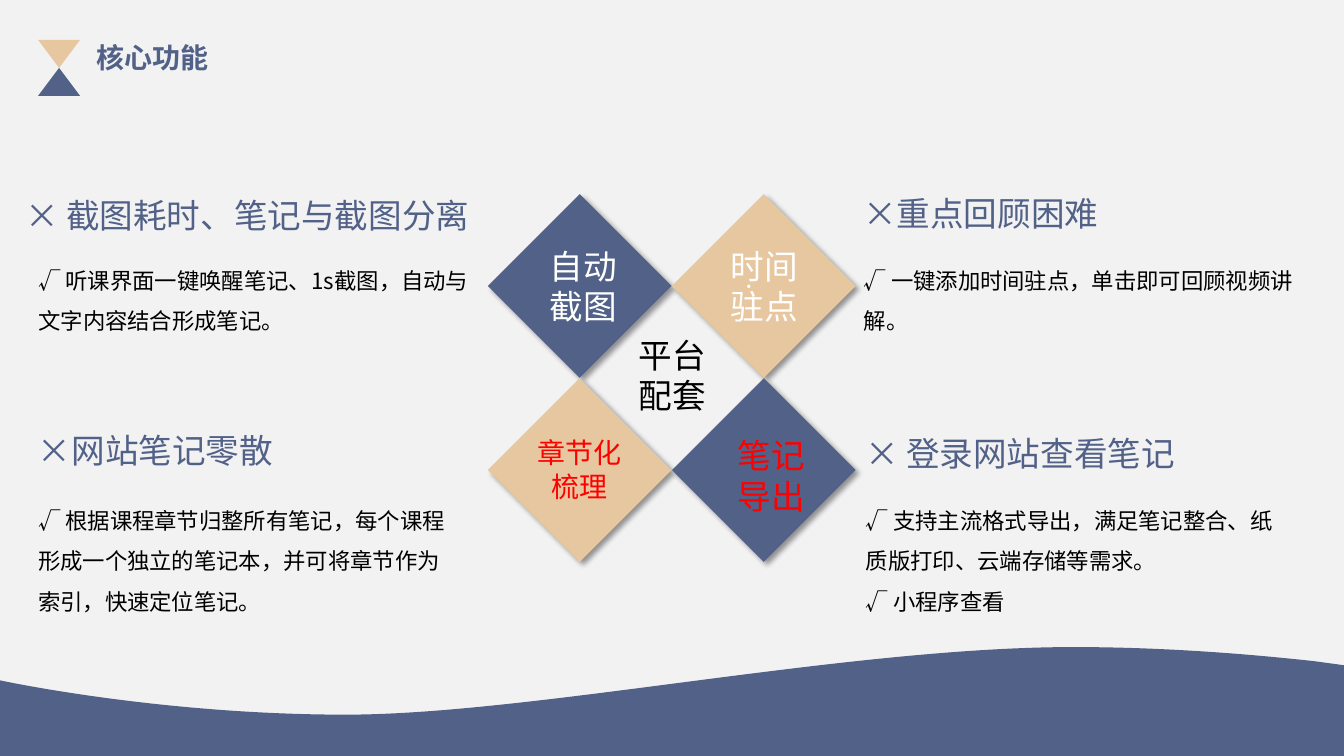
from lxml.etree import SubElement
from pptx import Presentation
from pptx.dml.color import RGBColor
from pptx.enum.shapes import MSO_SHAPE as SHAPE
from pptx.enum.text import MSO_ANCHOR as ANCHOR, MSO_AUTO_SIZE as AUTO_SIZE, PP_ALIGN as ALIGN
from pptx.oxml.ns import qn
from pptx.util import Pt

FONT = "Noto Sans CJK SC"
BLUE, SAND, RED = "526188", "E7C7A0", "FF0000"
WHITE, BLACK, PAPER = "FFFFFF", "000000", "F2F2F2"


def rgb(code):
    return RGBColor.from_string(code)


def write(shape, lines, size, color, align=ALIGN.LEFT, bold=False, spacing=1.0):
    """Fill a shape with paragraphs that share one format."""
    frame = shape.text_frame
    frame.text = "\n".join(lines)
    frame.word_wrap = True
    frame.vertical_anchor = ANCHOR.TOP
    for paragraph in frame.paragraphs:
        paragraph.alignment = align
        paragraph.line_spacing = spacing
        paragraph.space_before = Pt(0)
        for run in paragraph.runs:
            run.font.size = Pt(size)
            run.font.bold = bold
            run.font.color.rgb = rgb(color)
            run.font.name = FONT
            SubElement(run.font._element, qn("a:ea"), typeface=FONT)


def place(shape, left, top, width, height):
    shape.left, shape.top = Pt(left), Pt(top)
    shape.width, shape.height = Pt(width), Pt(height)


def add_title(slide, text):
    title = slide.shapes.title
    place(title, 62, 25, 106, 32)
    write(title, [text], 20, BLUE, bold=True)
    title.text_frame.auto_size = AUTO_SIZE.NONE


def add_label(slide, box, lines, size, color, align=ALIGN.CENTER):
    label = slide.shapes.add_textbox(*map(Pt, box))
    write(label, lines, size, color, align)
    label.text_frame.auto_size = AUTO_SIZE.SHAPE_TO_FIT_TEXT


def fill_answers(body, box, answers):
    """Put the ticked answers into a body placeholder without bullets."""
    place(body, *box)
    write(body, answers, 16, BLACK, spacing=1.5)
    body.text_frame.auto_size = AUTO_SIZE.NONE
    for paragraph in body.text_frame.paragraphs:
        properties = paragraph._p.get_or_add_pPr()
        properties.set("marL", "0")
        properties.set("indent", "0")
        SubElement(properties, qn("a:buNone"))


def paint(shape, color):
    shape.shadow.inherit = False
    shape.fill.solid()
    shape.fill.fore_color.rgb = rgb(color)
    shape.line.fill.background()


def add_figure(slide, kind, box, color):
    figure = slide.shapes.add_shape(kind, *map(Pt, box))
    paint(figure, color)
    return figure


def add_diamond(slide, box, color):
    diamond = add_figure(slide, SHAPE.DIAMOND, box, color)
    effects = diamond._element.spPr.find(qn("a:effectLst"))
    shadow = SubElement(effects, qn("a:outerShdw"), blurRad=str(Pt(4)), dist=str(Pt(3)),
                        dir="2700000", algn="tl", rotWithShape="0")
    tint = SubElement(shadow, qn("a:srgbClr"), val=BLACK)
    SubElement(tint, qn("a:alpha"), val="40000")


def add_wave(slide):
    """Draw the wave in tenths of a point, then bend three of its sides."""
    outline = [
        (7668, 4622),
        (6048, 4622), (3802, 5105), (2470, 5105),
        (1130, 5105), (0, 4860), (0, 4860),
        (0, 5420), (9600, 5420), (9600, 4752), (9389, 4723),
        (8870, 4666), (8273, 4622), (7668, 4622),
    ]
    builder = slide.shapes.build_freeform(*outline[0], scale=Pt(0.1))
    builder.add_line_segments(outline[1:], close=True)
    wave = builder.convert_to_shape()
    paint(wave, BLUE)
    sides = list(wave._element.iter(qn("a:lnTo")))
    for first in (0, 3, 10):
        bend = SubElement(sides[first].getparent(), qn("a:cubicBezTo"))
        sides[first].addprevious(bend)
        for side in sides[first:first + 3]:
            bend.append(side[0])
            side.getparent().remove(side)


def main():
    deck = Presentation()
    deck.slide_width, deck.slide_height = Pt(960), Pt(540)
    slide = deck.slides.add_slide(deck.slide_layouts.get_by_name("Comparison"))
    slide.background.fill.solid()
    slide.background.fill.fore_color.rgb = rgb(PAPER)

    # Wave along the bottom
    add_wave(slide)

    # Title with hourglass mark
    add_title(slide, "核心功能")
    add_figure(slide, SHAPE.ISOSCELES_TRIANGLE, (27.2, 48.5, 30, 20), BLUE)
    add_figure(slide, SHAPE.ISOSCELES_TRIANGLE, (27.2, 28.5, 30, 20), SAND).rotation = 180

    # Four problems, each with its answers
    topics = [
        ("× 截图耗时、笔记与截图分离", (0, 135.4, 342.3, 36), ALIGN.RIGHT,
         ["√ 听课界面一键唤醒笔记、1s截图，自动与文字内容结合形成笔记。"], (20.2, 177.7, 335, 65)),
        ("×重点回顾困难", (609.4, 134, 198, 36), ALIGN.LEFT,
         ["√ 一键添加时间驻点，单击即可回顾视频讲解。"], (609.8, 177.7, 325.5, 65)),
        ("×网站笔记零散", (20, 303.8, 196, 36), ALIGN.LEFT,
         ["√ 根据课程章节归整所有笔记，每个课程形成一个独立的笔记本，并可将章节作为索引，快速定位笔记。"],
         (20, 349.1, 317, 95)),
        ("× 登录网站查看笔记", (610.8, 306, 245, 36), ALIGN.LEFT,
         ["√ 支持主流格式导出，满足笔记整合、纸质版打印、云端存储等需求。", "√ 小程序查看"],
         (611.3, 349.1, 317, 95)),
    ]
    bodies = [holder for holder in slide.placeholders if holder.placeholder_format.idx in (1, 2, 3, 4)]
    for body, (problem, problem_box, align, answers, answers_box) in zip(bodies, topics):
        add_label(slide, problem_box, [problem], 24, BLUE, align)
        fill_answers(body, answers_box, answers)

    # Two by two diamonds
    side, step = 131.2, 131.5
    for index, color in enumerate((BLUE, SAND, SAND, BLUE)):
        row, column = divmod(index, 2)
        add_diamond(slide, (348.5 + column * step, 138.7 + row * step, side, side), color)
    dot = add_figure(slide, SHAPE.OVAL, (534.2, 203.8, 1.4, 1.4), WHITE)
    dot.line.color.rgb = rgb(WHITE)
    dot.line.width = Pt(1)

    # Feature names
    add_label(slide, (375.1, 172, 83, 65.5), ["自动截图"], 24, WHITE)
    add_label(slide, (493.9, 172, 103.7, 65.5), ["时间", "驻点"], 24, WHITE)
    add_label(slide, (375.1, 307.6, 78, 55.5), ["章节化梳理"], 20, RED)
    add_label(slide, (511.9, 307.4, 78, 65.5), ["笔记导出"], 24, RED)
    add_label(slide, (448.3, 235.4, 63.5, 65.5), ["平台配套"], 24, BLACK)

    deck.save("out.pptx")


if __name__ == "__main__":
    main()
